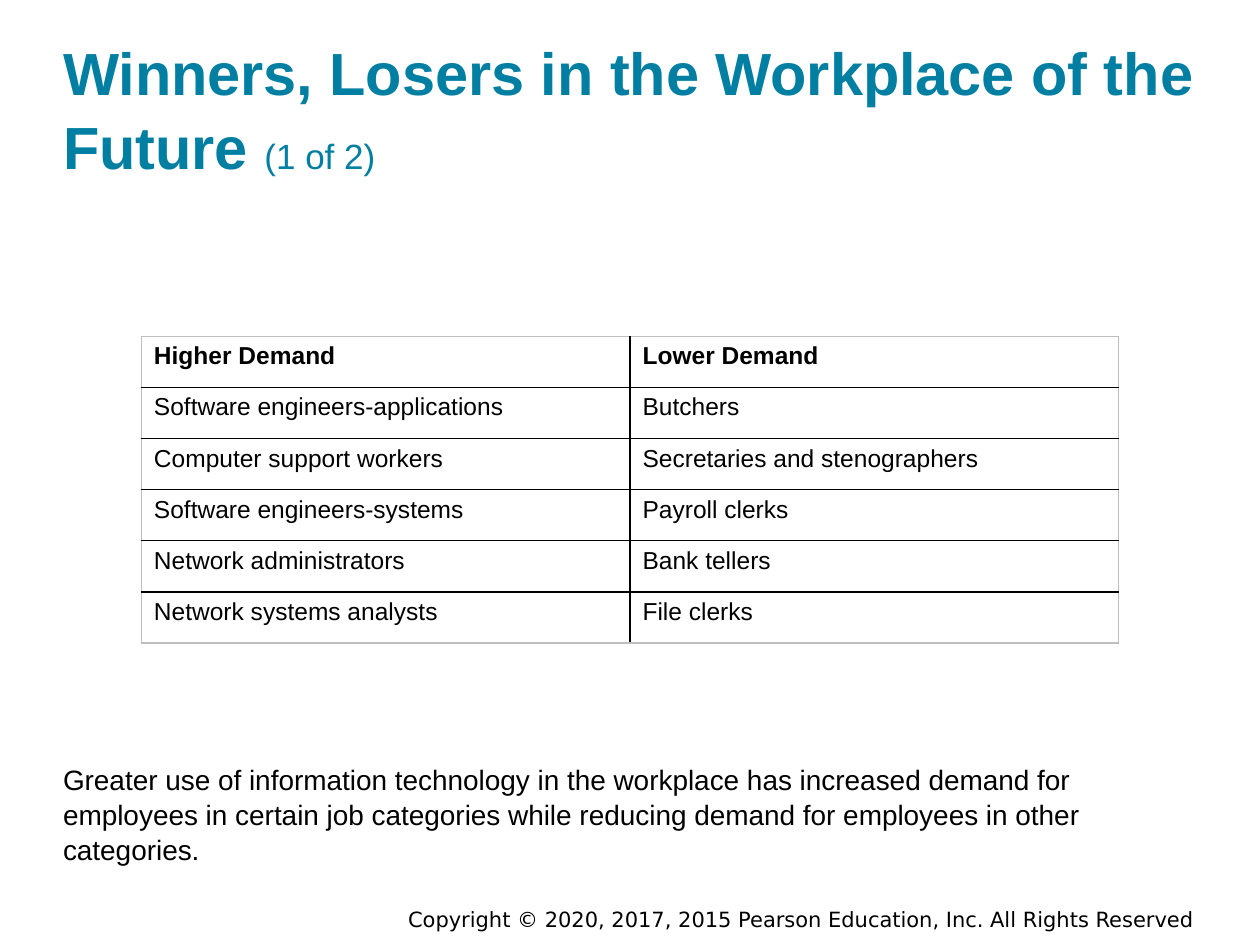
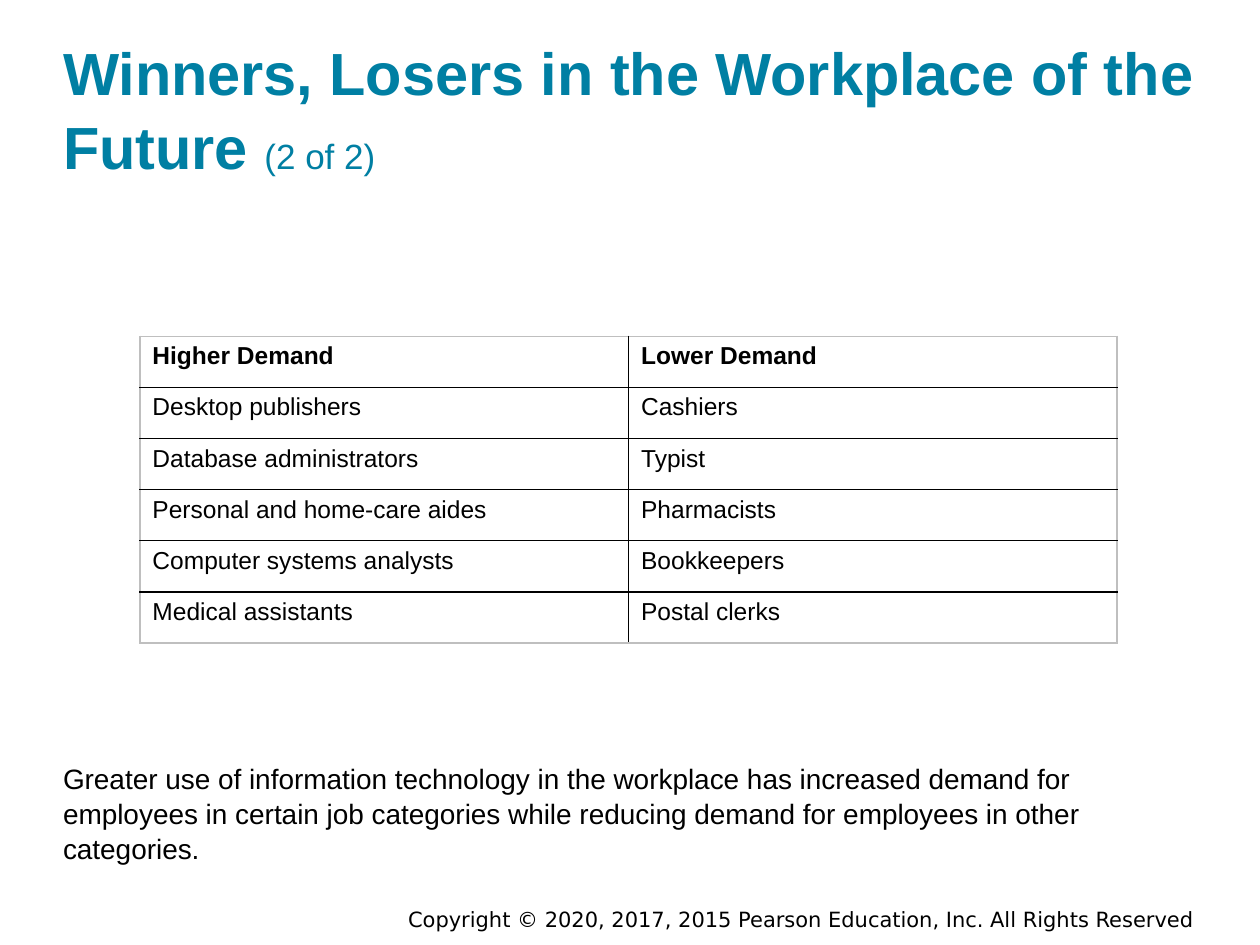
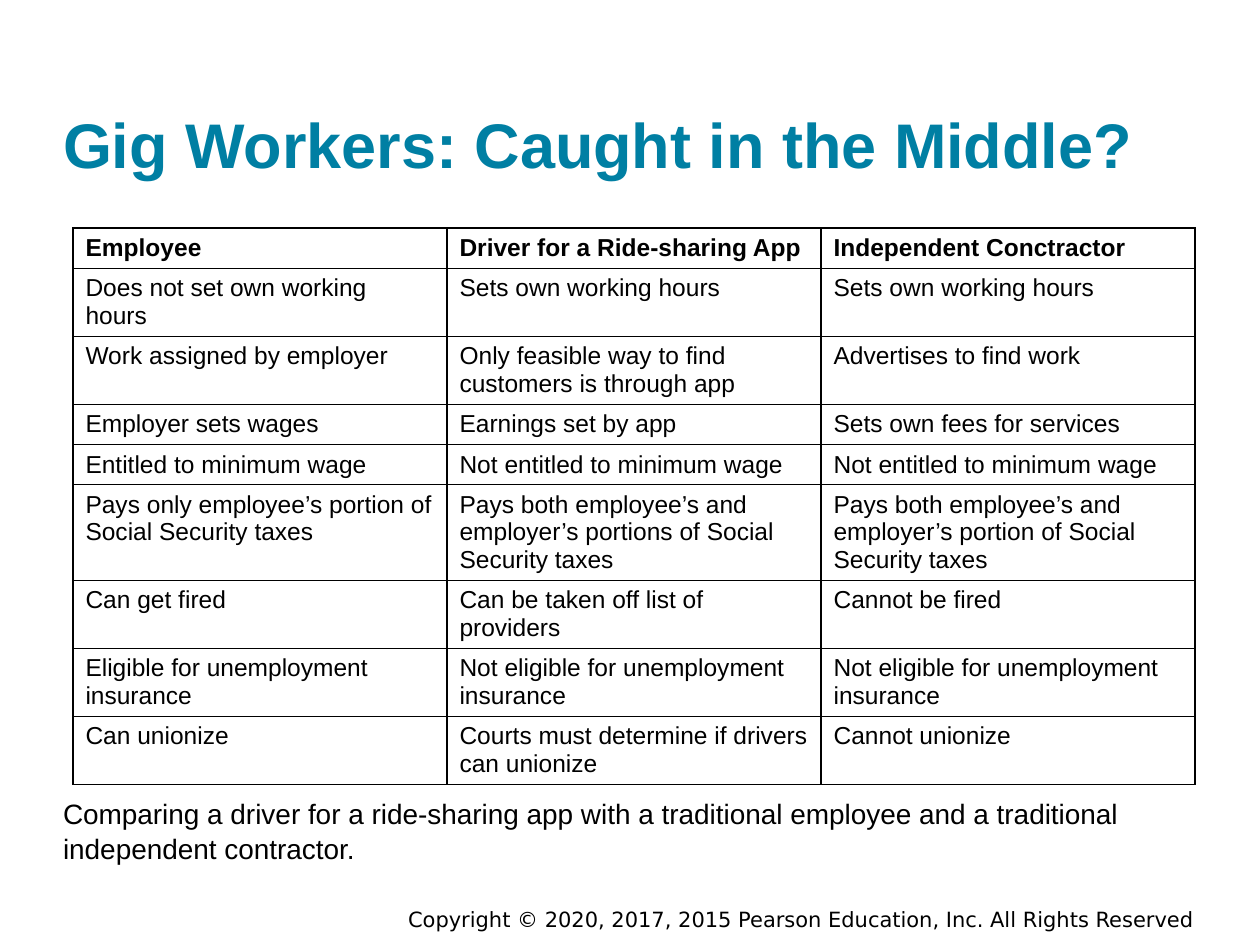
from dataclasses import dataclass

from lxml import etree
from pptx import Presentation
from pptx.dml.color import RGBColor
from pptx.enum.text import MSO_ANCHOR, MSO_AUTO_SIZE, PP_ALIGN
from pptx.oxml.ns import qn
from pptx.util import Cm, Pt

LEFT, RIGHT = PP_ALIGN.LEFT, PP_ALIGN.RIGHT
TOP, MIDDLE, BOTTOM = MSO_ANCHOR.TOP, MSO_ANCHOR.MIDDLE, MSO_ANCHOR.BOTTOM
NO_AUTOFIT = MSO_AUTO_SIZE.NONE


@dataclass(frozen=True)
class Theme:
    teal: str = "007FA3"
    black: str = "000000"
    white: str = "FFFFFF"
    grey: str = "BFBFBF"
    font: str = "Arial"
    footer_font: str = "DejaVu Sans"
    title: int = 36
    long_title: int = 34
    counter: int = 20
    body: int = 16
    cell: int = 14
    footer: int = 12
    spacing: float = 1.04


THEME = Theme()
MARGIN, CONTENT_WIDTH = 1.27, 22.86
COPYRIGHT = "Copyright © 2020, 2017, 2015 Pearson Education, Inc. All Rights Reserved"
JOBS_TITLE = "Winners, Losers in the Workplace of the Future "
JOBS_NOTE = (
    "Greater use of information technology in the workplace has increased demand for "
    "employees in certain job categories while reducing demand for employees in other categories."
)
GIG_TITLE = "Gig Workers: Caught in the Middle?"
GIG_NOTE = (
    "Comparing a driver for a ride-sharing app with a traditional employee "
    "and a traditional independent contractor."
)
DEMAND_HEADER = ("Higher Demand", "Lower Demand")
JOBS_FIRST = [
    DEMAND_HEADER,
    ("Software engineers-applications", "Butchers"),
    ("Computer support workers", "Secretaries and stenographers"),
    ("Software engineers-systems", "Payroll clerks"),
    ("Network administrators", "Bank tellers"),
    ("Network systems analysts", "File clerks"),
]
JOBS_SECOND = [
    DEMAND_HEADER,
    ("Desktop publishers", "Cashiers"),
    ("Database administrators", "Typist"),
    ("Personal and home-care aides", "Pharmacists"),
    ("Computer systems analysts", "Bookkeepers"),
    ("Medical assistants", "Postal clerks"),
]
GIG_ROWS = [
    ("Employee", "Driver for a Ride-sharing App", "Independent Conctractor"),
    ("Does not set own working hours", "Sets own working hours", "Sets own working hours"),
    ("Work assigned by employer", "Only feasible way to find customers is through app",
     "Advertises to find work"),
    ("Employer sets wages", "Earnings set by app", "Sets own fees for services"),
    ("Entitled to minimum wage", "Not entitled to minimum wage", "Not entitled to minimum wage"),
    ("Pays only employee’s portion of Social Security taxes",
     "Pays both employee’s and employer’s portions of Social Security taxes",
     "Pays both employee’s and employer’s portion of Social Security taxes"),
    ("Can get fired", "Can be taken off list of providers", "Cannot be fired"),
    ("Eligible for unemployment insurance", "Not eligible for unemployment insurance",
     "Not eligible for unemployment insurance"),
    ("Can unionize", "Courts must determine if drivers can unionize", "Cannot unionize"),
]
GIG_LINES = (1, 2, 2, 1, 1, 3, 2, 2, 2)


def apply(target, values):
    for name, value in values.items():
        setattr(target, name, value)


def add_run(p, text, size, color=THEME.black, bold=False, font=THEME.font):
    r = p.add_run()
    r.text = text
    apply(r.font, {"size": Pt(size), "bold": bold, "name": font})
    r.font.color.rgb = RGBColor.from_string(color)


def place(sp, left, top, width, height):
    apply(sp, {"left": Cm(left), "top": Cm(top), "width": Cm(width), "height": Cm(height)})


def set_frame(sp, anchor):
    tf = sp.text_frame
    apply(tf, {"word_wrap": True, "auto_size": NO_AUTOFIT, "vertical_anchor": anchor,
               "margin_left": 0, "margin_right": 0, "margin_top": 0, "margin_bottom": 0})
    p = tf.paragraphs[0]
    apply(p, {"alignment": LEFT, "line_spacing": THEME.spacing, "space_before": Pt(0)})
    return p


def fill_title(slide, text, size, counter=None):
    sp = slide.shapes.title
    place(sp, MARGIN, 0.61, CONTENT_WIDTH, 3.05)
    p = set_frame(sp, BOTTOM)
    add_run(p, text, size, THEME.teal, True)
    if counter:
        add_run(p, counter, THEME.counter, THEME.teal)


def fill_note(slide, text, top, height):
    sp = slide.placeholders[1]
    place(sp, MARGIN, top, CONTENT_WIDTH, height)
    p = set_frame(sp, TOP)
    pPr = p._p.get_or_add_pPr()
    pPr.set("marL", "0")
    pPr.set("indent", "0")
    etree.SubElement(pPr, qn("a:buNone"))
    add_run(p, text, THEME.body)


def set_borders(cell, colors):
    tcPr = cell._tc.get_or_add_tcPr()
    for side, color in colors.items():
        ln = etree.SubElement(tcPr, qn(f"a:ln{side}"), w=str(Pt(1)))
        fill = etree.SubElement(ln, qn("a:solidFill"))
        etree.SubElement(fill, qn("a:srgbClr"), val=color)


def add_grid(slide, rows, left, top, column_width, row_heights, edge):
    n_rows, n_cols = len(rows), len(rows[0])
    table = slide.shapes.add_table(
        n_rows, n_cols, Cm(left), Cm(top), Cm(column_width * n_cols), Cm(sum(row_heights))
    ).table
    apply(table, {"first_row": False, "horz_banding": False})
    for column in table.columns:
        column.width = Cm(column_width)
    for i, (row, height) in enumerate(zip(rows, row_heights)):
        table.rows[i].height = Cm(height)
        for j, text in enumerate(row):
            cell = table.cell(i, j)
            outer = {"L": j == 0, "R": j == n_cols - 1, "T": i == 0, "B": i == n_rows - 1}
            set_borders(cell, {s: edge if out else THEME.black for s, out in outer.items()})
            cell.fill.solid()
            cell.fill.fore_color.rgb = RGBColor.from_string(THEME.white)
            add_run(cell.text_frame.paragraphs[0], text, THEME.cell, bold=i == 0)


def move_footer_to_layout(slide, layout):
    for ph in list(layout.placeholders):
        if ph.placeholder_format.idx >= 10:
            layout.shapes.element.remove(ph.element)
    sp = slide.shapes.add_textbox(Cm(7.62), Cm(18.01), Cm(16.71), Cm(1.02))
    tf = sp.text_frame
    apply(tf, {"word_wrap": True, "vertical_anchor": MIDDLE})
    p = tf.paragraphs[0]
    p.alignment = RIGHT
    add_run(p, COPYRIGHT, THEME.footer, font=THEME.footer_font)
    layout.shapes.element.append(sp.element)


def add_jobs_slide(prs, layout, counter, rows, table_left, note_top):
    slide = prs.slides.add_slide(layout)
    fill_title(slide, JOBS_TITLE, THEME.long_title, counter)
    fill_note(slide, JOBS_NOTE, note_top, 2.18)
    add_grid(slide, rows, table_left, 6.78, 9.85, [1.03] * len(rows), THEME.grey)
    return slide


def add_gig_slide(prs, layout):
    slide = prs.slides.add_slide(layout)
    fill_title(slide, GIG_TITLE, THEME.title)
    fill_note(slide, GIG_NOTE, 16.03, 1.5)
    heights = [0.25 + 0.56 * lines for lines in GIG_LINES]
    add_grid(slide, GIG_ROWS, 1.47, 4.6, 7.54, heights, THEME.black)


def main():
    prs = Presentation()
    apply(prs, {"slide_width": Cm(25.4), "slide_height": Cm(19.05)})
    layout = prs.slide_layouts[1]
    first = add_jobs_slide(prs, layout, "(1 of 2)", JOBS_FIRST, 2.85, 15.34)
    move_footer_to_layout(first, layout)
    add_jobs_slide(prs, layout, "(2 of 2)", JOBS_SECOND, 2.82, 15.32)
    add_gig_slide(prs, layout)
    prs.save("out.pptx")


if __name__ == "__main__":
    main()
